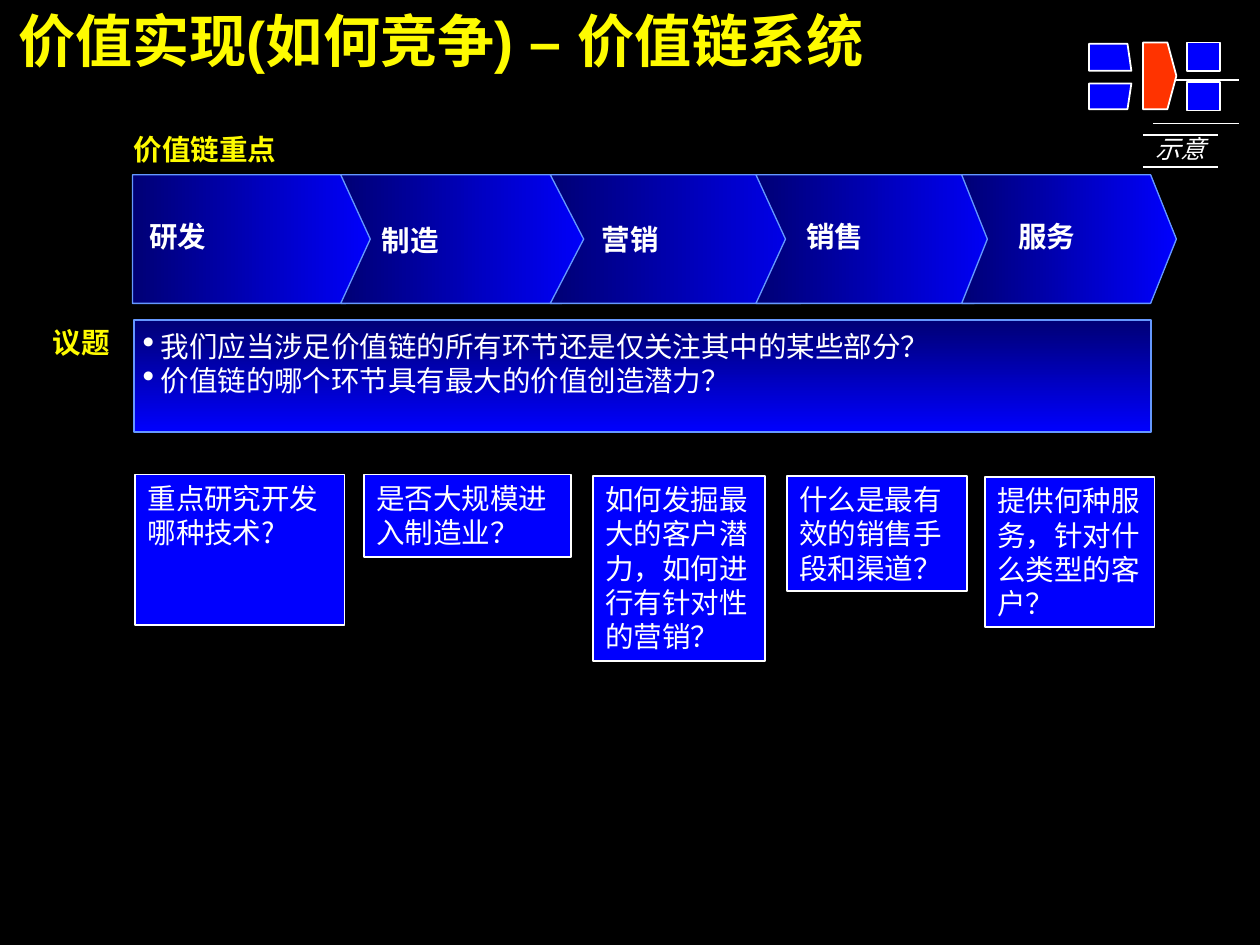
from lxml import etree
from pptx import Presentation
from pptx.dml.color import RGBColor
from pptx.enum.shapes import MSO_CONNECTOR, MSO_SHAPE
from pptx.enum.text import MSO_ANCHOR, PP_ALIGN
from pptx.oxml.ns import qn
from pptx.util import Inches, Pt

RECT = MSO_SHAPE.RECTANGLE
STRAIGHT = MSO_CONNECTOR.STRAIGHT
TOP, MIDDLE, BOTTOM = MSO_ANCHOR.TOP, MSO_ANCHOR.MIDDLE, MSO_ANCHOR.BOTTOM
LEFT, RIGHT = PP_ALIGN.LEFT, PP_ALIGN.RIGHT

LATIN, CJK = "Arial", "Noto Sans CJK SC"
WHITE, YELLOW, BLUE, NAVY = "FFFFFF", "FEFB00", "0000FE", "000075"
EDGE, ORANGE = "6598FF", "FF3300"

CHAIN_TOP, CHAIN_MIDDLE, CHAIN_BOTTOM = 1.36, 1.86, 2.36
STAGES = [
    ("研发", 1.03, 2.69, 2.92, 1.11, 1.41),
    ("制造", 2.65, 4.37, 4.6, 2.92, 1.44),
    ("营销", 4.28, 6.23, 6.49, 4.63, 1.43),
    ("销售", 5.88, 7.58, 7.81, 6.22, 1.41),
    ("服务", 7.48, 8.95, 9.15, 7.87, 1.41),
]
QUESTIONS = [
    ("重点研究开发哪种技术?", 1.05, 3.69, 1.63, 1.17),
    ("是否大规模进入制造业？", 2.83, 3.69, 1.61, 0.64),
    ("如何发掘最大的客户潜力，如何进行有针对性的营销？", 4.61, 3.7, 1.34, 1.44),
    ("什么是最有效的销售手段和渠道？", 6.12, 3.7, 1.4, 0.9),
    ("提供何种服务，针对什么类型的客户？", 7.66, 3.71, 1.32, 1.17),
]
ISSUES = [
    "我们应当涉足价值链的所有环节还是仅关注其中的某些部分？",
    "价值链的哪个环节具有最大的价值创造潜力？",
]


def rgb(value):
    return RGBColor.from_string(value)


def style(sp, fill, line, width, angle=0):
    sp.shadow.inherit = False
    if isinstance(fill, tuple):
        sp.fill.gradient()
        sp.fill.gradient_angle = angle
        for stop, color in zip(sp.fill.gradient_stops, fill):
            stop.color.rgb = rgb(color)
    else:
        sp.fill.solid()
        sp.fill.fore_color.rgb = rgb(fill)
    sp.line.color.rgb = rgb(line)
    sp.line.width = Pt(width)


def add_box(s, x, y, w, h, fill=BLUE, line=WHITE, angle=0):
    sp = s.shapes.add_shape(RECT, Inches(x), Inches(y), Inches(w), Inches(h))
    style(sp, fill, line, 1, angle)
    return sp


def add_outline(s, points, fill, line, width):
    start, *rest = [(Inches(x), Inches(y)) for x, y in points]
    builder = s.shapes.build_freeform(*start)
    builder.add_line_segments(rest, close=True)
    style(builder.convert_to_shape(), fill, line, width)


def add_line(s, x1, x2, y, width):
    line = s.shapes.add_connector(STRAIGHT, Inches(x1), Inches(y), Inches(x2), Inches(y))
    line.line.color.rgb = rgb(WHITE)
    line.line.width = Pt(width)
    etree.SubElement(line.element.spPr, qn("a:effectLst"))


def add_bullet(p):
    pPr = p._p.get_or_add_pPr()
    pPr.set("marL", str(Inches(0.15)))
    pPr.set("indent", str(Inches(-0.14)))
    color = etree.SubElement(pPr, qn("a:buClr"))
    etree.SubElement(color, qn("a:srgbClr"), val=WHITE)
    etree.SubElement(pPr, qn("a:buSzPct"), val="120000")
    etree.SubElement(pPr, qn("a:buChar"), char="•")


def write(sp, lines, size=16, color=WHITE, bold=False, italic=False, font=LATIN,
          anchor=TOP, align=LEFT, inset=(0, 0), wrap=True, bullets=False):
    tf = sp.text_frame
    tf.word_wrap = wrap
    tf.vertical_anchor = anchor
    tf.margin_left = tf.margin_right = Inches(inset[0])
    tf.margin_top = tf.margin_bottom = Inches(inset[1])
    for i, text in enumerate(lines):
        p = tf.add_paragraph() if i else tf.paragraphs[0]
        if bullets:
            add_bullet(p)
        p.alignment = align
        p.line_spacing = Pt(size * 1.2)
        r = p.add_run()
        r.text = text
        r.font.size = Pt(size)
        r.font.bold = bold
        r.font.italic = italic
        r.font.color.rgb = rgb(color)
        r.font.name = font
        etree.SubElement(r.font._element, qn("a:ea"), typeface=CJK)


def add_text(s, x, y, w, h, lines, **options):
    sp = s.shapes.add_textbox(Inches(x), Inches(y), Inches(w), Inches(h))
    write(sp, lines, **options)


def add_chain(s):
    for i, (name, left, shoulder, tip, label_x, label_y) in enumerate(STAGES):
        points = [(left, CHAIN_TOP), (shoulder, CHAIN_TOP), (tip, CHAIN_MIDDLE),
                  (shoulder, CHAIN_BOTTOM), (left, CHAIN_BOTTOM)]
        if i:
            points.append((left + tip - shoulder, CHAIN_MIDDLE))
        add_outline(s, points, (NAVY, BLUE), EDGE, 0.75)
        add_text(s, label_x, label_y, 1.09, 0.86, [name], bold=True,
                 anchor=MIDDLE, inset=(0.05, 0))


def add_navigator(s):
    for y in (0.33, 0.64):
        add_box(s, 9.23, y, 0.26, 0.22)
    add_outline(s, [(8.89, 0.33), (9.08, 0.33), (9.15, 0.59), (9.08, 0.85), (8.89, 0.85)],
                ORANGE, WHITE, 1)
    for outer, inner in ((0.85, 0.65), (0.34, 0.55)):
        add_outline(s, [(8.47, outer), (8.77, outer), (8.8, inner), (8.47, inner)],
                    BLUE, WHITE, 1)


def main():
    prs = Presentation()
    prs.slide_width, prs.slide_height = Inches(9.8), Inches(7.35)
    s = prs.slides.add_slide(prs.slide_layouts[6])
    s.background.fill.solid()
    s.background.fill.fore_color.rgb = rgb("000000")

    for y in (0.96, 0.62):
        add_line(s, 8.97, 9.64, y, 1)
    add_text(s, 0.14, 0.04, 9.49, 0.53, ["价值实现(如何竞争) – 价值链系统"],
             size=32, color=YELLOW, bold=True)
    add_text(s, 0.41, 2.53, 0.95, 0.27, ["议题"], color=YELLOW, bold=True)
    add_chain(s)

    add_box(s, 1.04, 2.49, 7.91, 0.87, (NAVY, BLUE), EDGE, 270)
    add_text(s, 1.1, 2.56, 7.6, 0.53, ISSUES, bullets=True)
    add_text(s, 1.04, 1.02, 1.11, 0.27, ["价值链重点"], color=YELLOW, bold=True,
             anchor=BOTTOM, wrap=False)
    for question, x, y, w, h in QUESTIONS:
        write(add_box(s, x, y, w, h), [question], font=CJK, inset=(0.1, 0.05))

    add_text(s, 8.99, 1.04, 0.39, 0.23, ["示意"], size=14, italic=True, font=CJK,
             align=RIGHT, wrap=False)
    for y in (1.05, 1.3):
        add_line(s, 8.89, 9.47, y, 0.75)
    add_navigator(s)
    prs.save("out.pptx")


if __name__ == "__main__":
    main()
